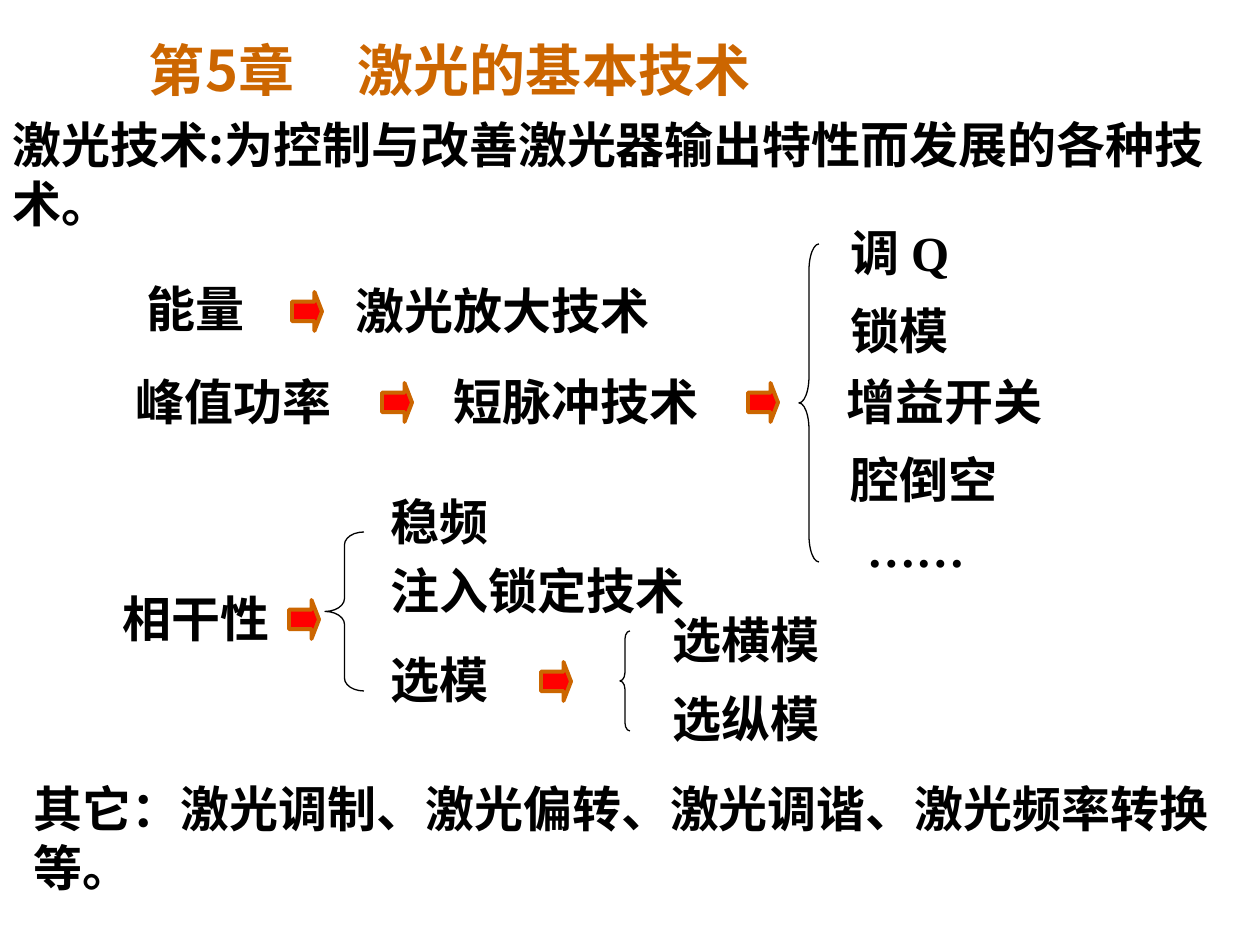
from lxml import etree
from pptx import Presentation, util as u
from pptx.dml.color import RGBColor
from pptx.enum import shapes, text
from pptx.oxml import ns

PX = 914400 / 126
COLORS = {"ink": "000000", "accent": "CC6600", "arrow": "FF0000"}
CJK, SERIF = "Noto Sans CJK SC", "Times New Roman"
LABEL_H, ARROW_W, ARROW_H = 72, 30, 39


def px(n):
    return u.Emu(round(n * PX))


def rgb(name):
    return RGBColor.from_string(COLORS[name])


def add_text(s, words, x, y, w, h=LABEL_H, size=28, font=SERIF, color="ink",
             left=13, tab=None):
    """Bold text; tab is a stop measured from the start of the text."""
    tf = s.shapes.add_textbox(px(x), px(y), px(w), px(h)).text_frame
    tf.word_wrap = True
    tf.auto_size = text.MSO_AUTO_SIZE.SHAPE_TO_FIT_TEXT
    tf.margin_left, tf.margin_right = px(left), px(12)
    tf.margin_top, tf.margin_bottom = px(9), px(3)
    p = tf.paragraphs[0]
    p.line_spacing = u.Pt(size * 1.2)
    if tab:
        stops = etree.SubElement(p._p.get_or_add_pPr(), ns.qn("a:tabLst"))
        etree.SubElement(stops, ns.qn("a:tab"), pos=str(px(tab)), algn="l")
    r = p.add_run()
    r.text = words
    r.font.size, r.font.bold, r.font.name = u.Pt(size), True, font
    r.font.color.rgb = rgb(color)
    etree.SubElement(r._r.get_or_add_rPr(), ns.qn("a:ea"), typeface=CJK)


def add_preset(s, kind, x, y, w, h, adj, line, weight, fill=None):
    sp = s.shapes.add_shape(kind, px(x), px(y), px(w), px(h))
    sp.shadow.inherit = False
    for i, value in enumerate(adj):
        sp.adjustments[i] = value
    if fill:
        sp.fill.solid()
        sp.fill.fore_color.rgb = rgb(fill)
    else:
        sp.fill.background()
    sp.line.color.rgb = rgb(line)
    sp.line.width = u.Pt(weight)


def add_arrow(s, x, y):
    add_preset(s, shapes.MSO_SHAPE.RIGHT_ARROW, x, y, ARROW_W, ARROW_H,
               (0.5, 0.25), "accent", 2.25, "arrow")


def add_branch(s, x, y, w, h, curl, options):
    """A left brace with options given as (words, dx, dy, width)."""
    add_preset(s, shapes.MSO_SHAPE.LEFT_BRACE, x, y, w, h, (curl, 0.5),
               "ink", 0.75)
    for words, dx, dy, width in options:
        add_text(s, words, x + dx, y + dy, width)


def add_heading(s, x, y, w):
    add_text(s, "第5章\t激光的基本技术", x, y, w, 79, size=32, font=CJK,
             color="accent", left=65, tab=209)
    add_text(s, "激光技术:为控制与改善激光器输出特性而发展的各种技术。",
             0, y + 79, 1260, 130, font=CJK)


def add_energy(s, x, y):
    add_text(s, "能量", x, y, 159)
    add_arrow(s, x + 158, y + 22)
    add_text(s, "激光放大技术", x + 209, y + 2, 387)


def add_peak_power(s, x, y):
    add_text(s, "峰值功率", x, y, 228)
    add_arrow(s, x + 259, y + 20)
    add_text(s, "短脉冲技术", x + 318, y, 318)
    add_arrow(s, x + 625, y + 20)
    add_branch(s, x + 676, y - 119, 20, 318, 1.33, [
        ("调 Q", 39, -30, 159),
        ("锁模", 39, 48, 125),
        ("增益开关", 35, 119, 223),
        ("腔倒空", 39, 197, 174),
        ("……", 55, 266, 125),
    ])


def add_coherence(s, x, y):
    add_text(s, "相干性", x, y, 208)
    add_arrow(s, x + 179, y + 20)
    add_branch(s, x + 215, y - 48, 39, 159, 0.33, [
        ("稳频", 53, -49, 159),
        ("注入锁定技术", 53, 20, 323),
        ("选模", 53, 109, 125),
    ])
    add_arrow(s, x + 431, y + 82)
    add_branch(s, x + 510, y + 51, 10, 100, 0.82, [
        ("选横模", 40, -30, 174),
        ("选纵模", 40, 49, 174),
    ])


def main():
    prs = Presentation()
    prs.slide_width, prs.slide_height = px(1260), px(945)
    s = prs.slides.add_slide(prs.slide_layouts[6])
    add_heading(s, 84, 27, 1052)
    add_energy(s, 134, 270)
    add_peak_power(s, 123, 363)
    add_coherence(s, 110, 580)
    add_text(s, "其它：激光调制、激光偏转、激光调谐、激光频率转换等。",
             21, 770, 1218, 130)
    prs.save("out.pptx")


if __name__ == "__main__":
    main()
